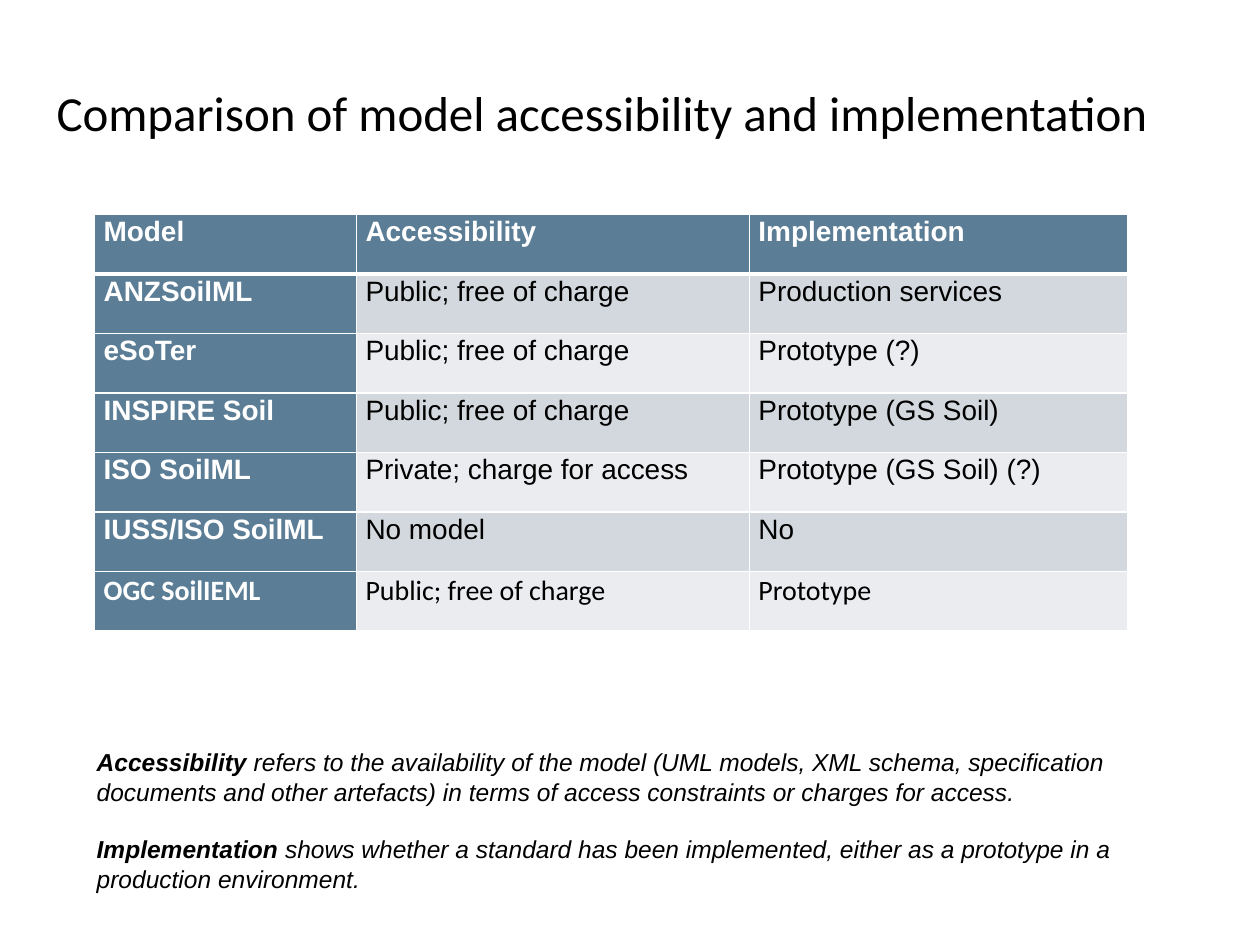
from dataclasses import dataclass

from lxml import etree
from pptx import Presentation
from pptx.dml.color import RGBColor
from pptx.enum.text import MSO_ANCHOR, PP_ALIGN
from pptx.oxml.ns import qn
from pptx.util import Cm, Pt

LEFT = PP_ALIGN.LEFT
TOP = MSO_ANCHOR.TOP
MIDDLE = MSO_ANCHOR.MIDDLE


@dataclass(frozen=True)
class Theme:
    ink: str = "000000"
    paper: str = "FFFFFF"
    header: str = "5B7E96"
    bands: tuple = ("D2D8DD", "EAECEF")
    heading_font: str = "Calibri"
    body_font: str = "Arial"
    title_size: int = 28
    table_size: int = 16
    note_size: int = 14
    thin_line: int = 1
    thick_line: int = 3


THEME = Theme()

TITLE = "Comparison of model accessibility and implementation"
COLUMN_WIDTHS = (5.28, 7.92, 7.62)
ROWS = (
    ("Model", "Accessibility", "Implementation"),
    ("ANZSoilML", "Public; free of charge", "Production services"),
    ("eSoTer", "Public; free of charge", "Prototype (?)"),
    ("INSPIRE Soil", "Public; free of charge", "Prototype (GS Soil)"),
    ("ISO SoilML", "Private; charge for access", "Prototype (GS Soil) (?)"),
    ("IUSS/ISO SoilML", "No model", "No"),
    ("OGC SoilIEML", "Public; free of charge", "Prototype"),
)
NOTES = (
    ("Accessibility", " refers to the availability of the model (UML models, XML schema, "
     "specification documents and other artefacts) in terms of access constraints or "
     "charges for access."),
    ("Implementation", " shows whether a standard has been implemented, either as a "
     "prototype in a production environment."),
)


def set_attributes(target, values):
    for name, value in values.items():
        setattr(target, name, value)


def add_run(paragraph, text, color=THEME.ink, **font_values):
    run = paragraph.add_run()
    run.text = text
    set_attributes(run.font, font_values)
    run.font.color.rgb = RGBColor.from_string(color)


def add_text_frame(slide, box, anchor):
    shape = slide.shapes.add_textbox(*(Cm(length) for length in box))
    set_attributes(shape.text_frame, {"word_wrap": True, "vertical_anchor": anchor})
    return shape.text_frame


def set_borders(cell, widths):
    properties = cell._tc.get_or_add_tcPr()
    for side, width in widths.items():
        line = etree.SubElement(properties, qn(f"a:ln{side}"), w=str(Pt(width)))
        fill = etree.SubElement(line, qn("a:solidFill"))
        etree.SubElement(fill, qn("a:srgbClr"), val=THEME.paper)


def add_title(slide, box):
    paragraph = add_text_frame(slide, box, MIDDLE).paragraphs[0]
    set_attributes(paragraph, {"alignment": LEFT, "line_spacing": 0.93})
    add_run(paragraph, TITLE, name=THEME.heading_font, size=Pt(THEME.title_size))


def fill_cell(cell, text, row, column):
    is_heading = row == 0 or column == 0
    is_last_row = row == len(ROWS) - 1
    set_borders(cell, {
        "L": THEME.thin_line,
        "R": THEME.thin_line,
        "T": THEME.thick_line if row == 1 else THEME.thin_line,
        "B": THEME.thick_line if row == 0 else THEME.thin_line,
    })
    set_attributes(cell, {
        "margin_left": Cm(0.18),
        "margin_right": Cm(0.18),
        "margin_top": 0,
        "margin_bottom": 0,
        "vertical_anchor": TOP,
    })
    cell.fill.solid()
    background = THEME.header if is_heading else THEME.bands[(row - 1) % 2]
    cell.fill.fore_color.rgb = RGBColor.from_string(background)
    paragraph = cell.text_frame.paragraphs[0]
    set_attributes(paragraph, {"alignment": LEFT, "line_spacing": 1.07})
    add_run(
        paragraph,
        text,
        color=THEME.paper if is_heading else THEME.ink,
        name=THEME.heading_font if is_last_row else THEME.body_font,
        size=Pt(THEME.table_size),
        bold=is_heading,
    )


def add_comparison_table(slide, box):
    left, top, width, height = (Cm(length) for length in box)
    frame = slide.shapes.add_table(len(ROWS), len(COLUMN_WIDTHS), left, top, width, height)
    table = frame.table
    set_attributes(table, {"first_col": True, "horz_banding": True})
    for column, column_width in zip(table.columns, COLUMN_WIDTHS):
        column.width = Cm(column_width)
    for row, texts in enumerate(ROWS):
        for column, text in enumerate(texts):
            fill_cell(table.cell(row, column), text, row, column)


def add_notes(slide, box):
    frame = add_text_frame(slide, box, TOP)
    for index, (term, explanation) in enumerate(NOTES):
        paragraph = frame.add_paragraph() if index else frame.paragraphs[0]
        paragraph.alignment = LEFT
        if index:
            paragraph.space_before = Pt(16)
        for text, bold in ((term, True), (explanation, False)):
            add_run(paragraph, text, name=THEME.body_font, size=Pt(THEME.note_size),
                    bold=bold, italic=True)


def main():
    presentation = Presentation()
    set_attributes(presentation, {"slide_width": Cm(25.4), "slide_height": Cm(19.05)})
    slide = presentation.slides.add_slide(presentation.slide_layouts[6])
    add_title(slide, (0.89, 0.74, 22.86, 3.18))
    add_comparison_table(slide, (1.91, 4.32, sum(COLUMN_WIDTHS), 8.4))
    add_notes(slide, (1.7, 14.94, 21.21, 3.25))
    presentation.save("out.pptx")


if __name__ == "__main__":
    main()
